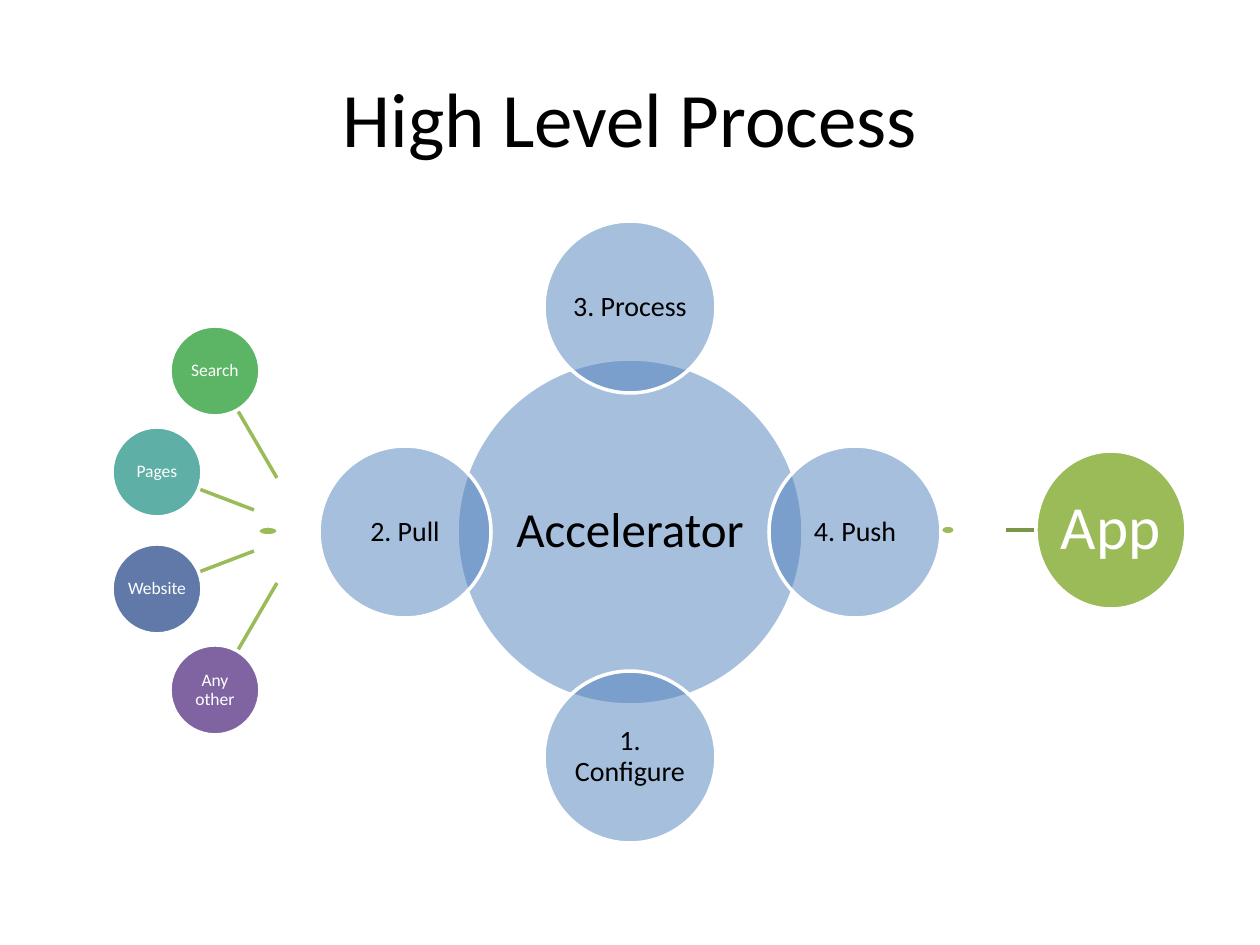
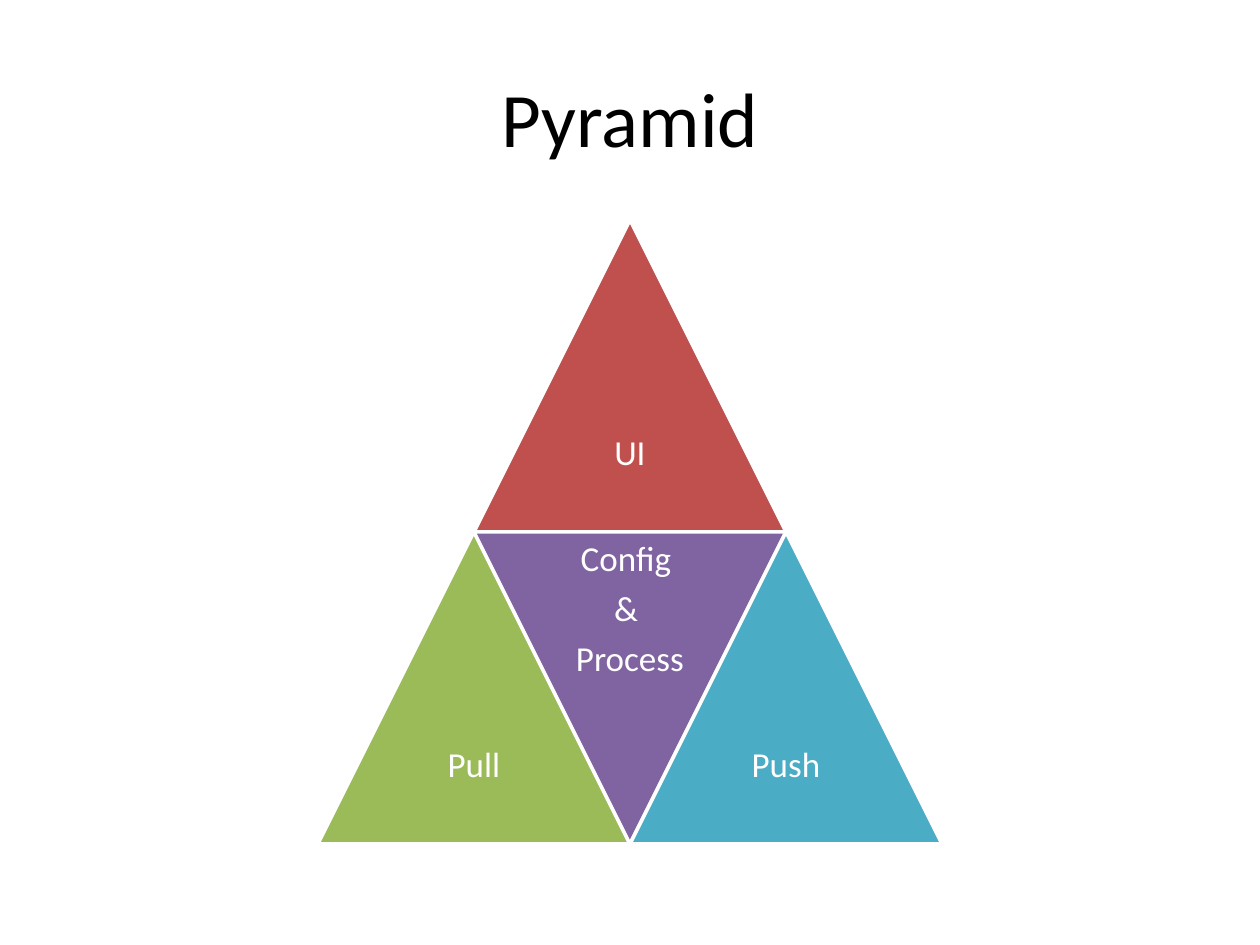
from dataclasses import dataclass

from lxml import etree
from pptx import Presentation
from pptx.dml.color import RGBColor
from pptx.enum.shapes import MSO_CONNECTOR, MSO_SHAPE
from pptx.enum.text import MSO_ANCHOR, PP_ALIGN
from pptx.oxml.ns import qn
from pptx.util import Emu, Pt

OVAL = MSO_SHAPE.OVAL
PEAK = MSO_SHAPE.ISOSCELES_TRIANGLE
WEDGE = MSO_SHAPE.FLOWCHART_MERGE
LINE = MSO_CONNECTOR.STRAIGHT
MIDDLE = MSO_ANCHOR.MIDDLE
CENTER = PP_ALIGN.CENTER

SCALE = 914400 / 126
WIDTH, HEIGHT = 1260, 945
MID_X, MID_Y = 630, 532
FONT = "Calibri"
BLACK, WHITE = "000000", "FFFFFF"
BLUE, RED, GREEN = "4F81BD", "C0504D", "9BBB59"
PURPLE, AQUA, OLIVE = "8064A2", "4BACC6", "7C9647"
STROKE = 2


@dataclass
class Node:
    """A filled shape, placed by its centre, with its label."""
    x: int
    y: int
    w: int
    h: int
    fill: str
    text: str = ""
    size: int = 10
    ink: str = WHITE
    alpha: int = 100
    inset: int = 2
    kind: int = OVAL


@dataclass
class Ray:
    """A straight line between two points."""
    x1: int
    y1: int
    x2: int
    y2: int
    color: str = GREEN


def px(count: float) -> Emu:
    """Turn pixels into EMU."""
    return Emu(round(count * SCALE))


def rgb(code: str) -> RGBColor:
    """Turn a hex string into a colour."""
    return RGBColor.from_string(code)


def style(frame, size: int, ink: str) -> None:
    """Centre the text of a frame and set its font."""
    frame.word_wrap = True
    frame.vertical_anchor = MIDDLE
    for para in frame.paragraphs:
        para.alignment = CENTER
        for run in para.runs:
            run.font.name = FONT
            run.font.size = Pt(size)
            run.font.color.rgb = rgb(ink)


def draw_title(slide, text: str) -> None:
    """Draw the slide title."""
    frame = slide.shapes.add_textbox(px(63), px(38), px(1134), px(158)).text_frame
    frame.text = text
    style(frame, 44, BLACK)


def draw_node(slide, node: Node) -> None:
    """Draw a shape with a white outline and its label inside."""
    shape = slide.shapes.add_shape(
        node.kind, px(node.x - node.w / 2), px(node.y - node.h / 2),
        px(node.w), px(node.h))
    shape.shadow.inherit = False
    shape.fill.solid()
    shape.fill.fore_color.rgb = rgb(node.fill)
    shape.line.color.rgb = rgb(WHITE)
    shape.line.width = Pt(STROKE)
    if node.alpha < 100:
        color = shape.fill._xPr.find(".//" + qn("a:srgbClr"))
        etree.SubElement(color, qn("a:alpha"), val=str(node.alpha * 1000))
    if not node.text:
        return
    frame = shape.text_frame
    frame.text = node.text
    frame.margin_left = frame.margin_right = px(node.inset)
    frame.margin_top = frame.margin_bottom = px(node.inset)
    style(frame, node.size, node.ink)
    for para in frame.paragraphs:
        para.line_spacing = 0.9
        para.space_after = Pt(node.size * 0.35)


def draw_ray(slide, ray: Ray) -> None:
    """Draw a plain line without a shadow."""
    line = slide.shapes.add_connector(
        LINE, px(ray.x1), px(ray.y1), px(ray.x2), px(ray.y2))
    line.line.color.rgb = rgb(ray.color)
    line.line.width = Pt(STROKE)
    etree.SubElement(line._element.spPr, qn("a:effectLst"))


def start(deck, title: str):
    """Add a blank slide with a title."""
    slide = deck.slides.add_slide(deck.slide_layouts[6])
    draw_title(slide, title)
    return slide


def process_slide(deck) -> None:
    """Draw the hub with its four steps, the sources and the target."""
    slide = start(deck, "High Level Process")
    draw_node(slide, Node(MID_X, MID_Y, 346, 346, BLUE, "Accelerator",
                          28, BLACK, 50, 5))
    orbit = 225
    steps = [("3. Process", 0, -1), ("4. Push", 1, 0),
             ("1. Configure", 0, 1), ("2. Pull", -1, 0)]
    for text, dx, dy in steps:
        draw_node(slide, Node(MID_X + dx * orbit, MID_Y + dy * orbit,
                              172, 172, BLUE, text, 16, BLACK, 50))

    axis = 1061  # sum of the heights of two mirrored points
    for x1, y1, x2, y2 in [(277, 583, 238, 650), (254, 551, 199, 572)]:
        draw_ray(slide, Ray(x1, y1, x2, y2))
        draw_ray(slide, Ray(x1, axis - y1, x2, axis - y2))
    draw_node(slide, Node(268, 531, 21, 10, GREEN))
    sources = [("Search", 215, 371, "5CB565"), ("Pages", 157, 472, "5EAFA6"),
               ("Website", 157, 589, "6179A8"), ("Any other", 215, 690, PURPLE)]
    for text, x, y, fill in sources:
        draw_node(slide, Node(x, y, 90, 90, fill, text, inset=1))

    draw_ray(slide, Ray(1006, 530, 1036, 530, OLIVE))
    draw_node(slide, Node(948, 530, 15, 10, GREEN))
    draw_node(slide, Node(1111, 530, 150, 158, GREEN, "App", 35))


def pyramid_slide(deck) -> None:
    """Draw the pyramid of four triangles."""
    slide = start(deck, "Pyramid")
    side = 312
    half = side // 2
    parts = [("UI", 0, -half, RED, PEAK),
             ("Pull", -half, half, GREEN, PEAK),
             ("Config \n& \nProcess", 0, half, PURPLE, WEDGE),
             ("Push", half, half, AQUA, PEAK)]
    for text, dx, dy, fill, kind in parts:
        draw_node(slide, Node(MID_X + dx, MID_Y + dy, side, side, fill, text,
                              20, inset=10, kind=kind))


def main() -> None:
    """Build and save the deck."""
    deck = Presentation()
    deck.slide_width, deck.slide_height = px(WIDTH), px(HEIGHT)
    process_slide(deck)
    pyramid_slide(deck)
    deck.save("out.pptx")


main()
